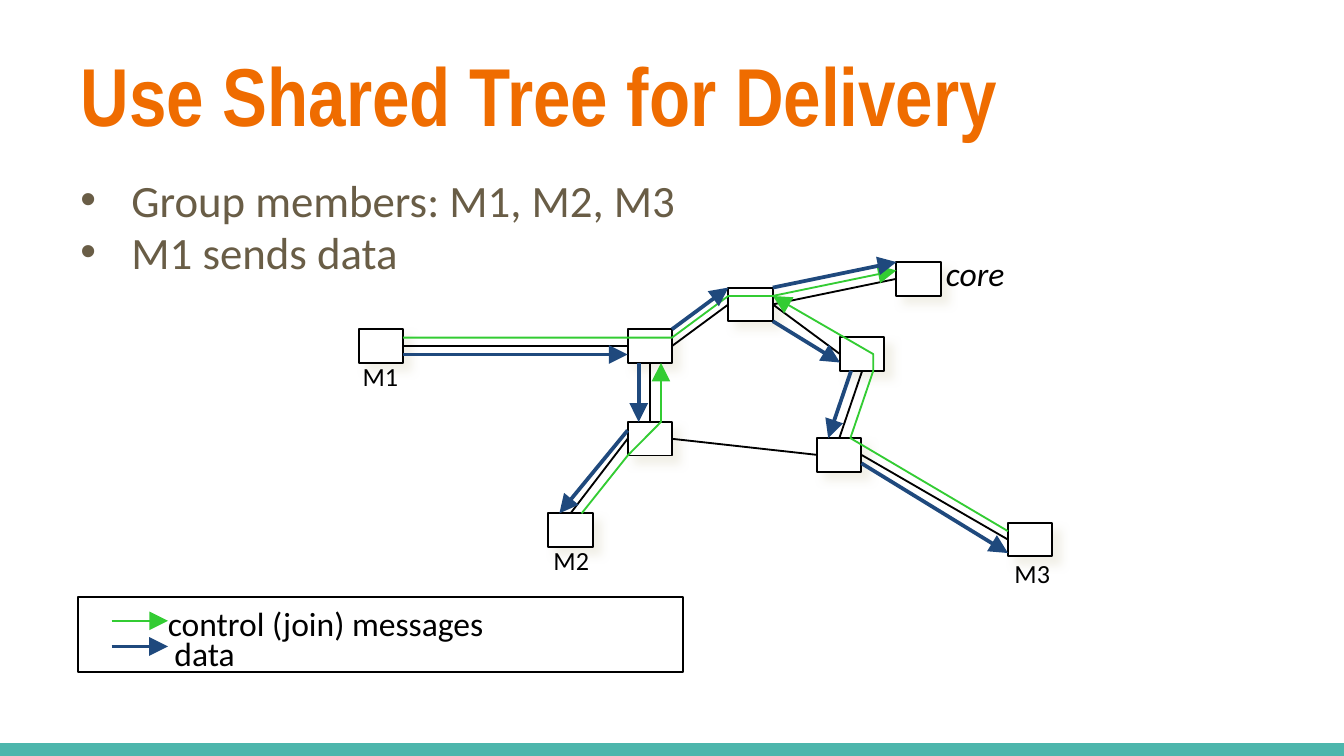
from lxml.etree import SubElement
from pptx import Presentation
from pptx.dml.color import RGBColor
from pptx.enum.shapes import MSO_CONNECTOR as CONNECTOR, MSO_SHAPE as SHAPE
from pptx.enum.text import MSO_ANCHOR as ANCHOR, MSO_AUTO_SIZE as AUTO_SIZE, PP_ALIGN as ALIGN
from pptx.oxml.ns import qn
from pptx.util import Inches, Pt

THEME = {
    "title": {"name": "Arial Narrow", "size": Pt(44), "bold": True, "color": "EF6C00"},
    "body": {"name": "Calibri", "size": Pt(24), "color": "695D46"},
    "member": {"name": "Calibri", "size": Pt(14), "color": "000000"},
    "legend": {"name": "Calibri", "size": Pt(18), "color": "000000"},
    "core": {"name": "Calibri", "size": Pt(18), "italic": True, "color": "000000"},
    "link": ("000000", 1),
    "control": ("33CC33", 1),
    "data": ("1F497D", 2),
    "footer": ("4DB6AC", 10),
    "node": "FFFFFF",
    "shadow": "EEECE1",
}

# Content
TITLE = "Use Shared Tree for Delivery"
BULLETS = ["Group members: M1, M2, M3", "M1 sends data"]
NODE_W, NODE_H = 0.33, 0.25
NODES = {  # left, top
    "west": (4.67, 2.45), "south": (4.67, 3.14), "southeast": (6.08, 3.26),
    "east": (6.25, 2.51), "north": (5.42, 2.14), "M2": (4.08, 3.82),
    "M3": (7.5, 3.89), "M1": (2.67, 2.45), "core": (6.67, 1.95),
}
# Route stops: node, then fractions across and down its box
LINKS = [
    [("north", 1, 0.5), ("core", 0, 0.5)],
    [("north", 1, 0.5), ("east", 0, 0.5)],
    [("north", 0, 0.5), ("west", 1, 0.5)],
    [("west", 0.5, 1), ("south", 0.5, 0)],
    [("south", 1, 0.5), ("southeast", 0, 0.5)],
    [("southeast", 0.5, 0), ("east", 0.5, 1)],
    [("M1", 1, 0.5), ("west", 0, 0.5)],
    [("M2", 0.5, 0), ("south", 0, 0.5)],
    [("M3", 0, 0.5), ("southeast", 1, 0.5)],
]
JOINS = [
    [("M1", 1, 0.25), ("west", 1, 0.25), ("north", 0, 0.25), ("north", 1, 0.25),
     ("core", 0, 0.25)],
    [("M2", 0.75, 0), ("south", 0, 1), ("south", 0.75, 0), ("west", 0.75, 1)],
    [("M3", 0, 0.25), ("southeast", 0.75, 0), ("east", 0.75, 1), ("east", 0.75, 0.5),
     ("north", 1, 0.25)],
]
DATA_FLOWS = [
    [("M1", 1, 0.75), ("west", 0, 0.75)],
    [("west", 0.25, 1), ("south", 0.25, 0)],
    [("south", 0, 0.25), ("M2", 0.25, 0)],
    [("west", 1, 0), ("north", 0, 0)],
    [("north", 1, 1), ("east", 0, 0.75)],
    [("east", 0.25, 1), ("southeast", 0.25, 0)],
    [("southeast", 1, 0.75), ("M3", 0, 0.9)],
    [("north", 1, 0), ("core", 0, 0)],
]
LABELS = [  # text, style, left, top, width, height
    ("M1", "member", 2.6, 2.63, 0.47, 0.33),
    ("M2", "member", 4.02, 4, 0.47, 0.33),
    ("M3", "member", 7.45, 4.1, 0.47, 0.33),
    ("control (join) messages", "legend", 1.15, 4.44, 2.58, 0.4),
    ("data", "legend", 1.2, 4.66, 0.66, 0.4),
    ("core", "core", 6.94, 1.83, 0.7, 0.4),
]
LEGEND_FRAME = (0.58, 4.44, 4.5, 0.56)
LEGEND_KEYS = [("control", 4.62), ("data", 4.81)]


def rgb(value):
    return RGBColor.from_string(value)


def style_font(font, style):
    for key, value in THEME[style].items():
        if key == "color":
            font.color.rgb = rgb(value)
        else:
            setattr(font, key, value)


def style_line(shape, style, arrow=False):
    color, width = THEME[style]
    shape.line.color.rgb = rgb(color)
    shape.line.width = Pt(width)
    if arrow:
        SubElement(shape.line._get_or_add_ln(), qn("a:tailEnd"),
                   type="triangle", w="lg", len="lg")


def stop_point(stop):
    node, across, down = stop
    left, top = NODES[node]
    return left + across * NODE_W, top + down * NODE_H


def add_line(start, end, style, arrow=False):
    line = slide.shapes.add_connector(CONNECTOR.STRAIGHT, *map(Inches, start + end))
    style_line(line, style, arrow)
    SubElement(line._element.spPr, qn("a:effectLst"))


def add_join(route):
    points = [tuple(map(Inches, stop_point(stop))) for stop in route]
    builder = slide.shapes.build_freeform(*points[0], scale=1.0)
    builder.add_line_segments(points[1:], close=False)
    join = builder.convert_to_shape()
    join.fill.background()
    style_line(join, "control", arrow=True)
    join.shadow.inherit = False


def add_box(left, top, width, height):
    box = slide.shapes.add_shape(SHAPE.RECTANGLE, *map(Inches, (left, top, width, height)))
    style_line(box, "link")
    box.shadow.inherit = False
    return box


def add_node(left, top):
    node = add_box(left, top, NODE_W, NODE_H)
    node.fill.solid()
    node.fill.fore_color.rgb = rgb(THEME["node"])
    effects = node._element.spPr.find(qn("a:effectLst"))
    shadow = SubElement(effects, qn("a:outerShdw"), blurRad=str(Pt(5)),
                        dist=str(Pt(5.7)), dir="2700000", algn="ctr", rotWithShape="0")
    color = SubElement(shadow, qn("a:srgbClr"), val=THEME["shadow"])
    SubElement(color, qn("a:alpha"), val="75000")


def add_bullet(paragraph):
    props = paragraph._p.get_or_add_pPr()
    props.set("marL", str(Inches(0.38)))
    props.set("indent", str(-Inches(0.38)))
    color = SubElement(props, qn("a:buClr"))
    SubElement(color, qn("a:srgbClr"), val=THEME["body"]["color"])
    SubElement(props, qn("a:buFont"), typeface="Arial")
    SubElement(props, qn("a:buChar"), char="•")


# Widescreen 16:9 slide
prs = Presentation()
prs.slide_width = Inches(10)
prs.slide_height = prs.slide_width * 9 // 16
slide = prs.slides.add_slide(prs.slide_layouts[5])

# Footer band
add_line((0, 5.6), (10, 5.6), "footer")

# Title
title = slide.shapes.title
title.left, title.top, title.width, title.height = map(Inches, (0.5, 0.23, 9, 0.94))
title.text_frame.text = TITLE
title.text_frame.auto_size = AUTO_SIZE.NONE
title.text_frame.vertical_anchor = ANCHOR.MIDDLE
title.text_frame.paragraphs[0].alignment = ALIGN.LEFT
style_font(title.text_frame.paragraphs[0].runs[0].font, "title")

# Bullets
body = slide.shapes.add_textbox(*map(Inches, (0.5, 1.31, 9, 3.71))).text_frame
body.word_wrap = True
body.text = "\n".join(BULLETS)
for index, bullet in enumerate(body.paragraphs):
    bullet.line_spacing = 0.8
    if index:
        bullet.space_before = Pt(4.8)
    add_bullet(bullet)
    style_font(bullet.runs[0].font, "body")

# Network: nodes, links, join routes, data flows
for corner in NODES.values():
    add_node(*corner)
for start, end in LINKS:
    add_line(stop_point(start), stop_point(end), "link")
for route in JOINS:
    add_join(route)
for start, end in DATA_FLOWS:
    add_line(stop_point(start), stop_point(end), "data", arrow=True)

# Legend
add_box(*LEGEND_FRAME).fill.background()
for style, y in LEGEND_KEYS:
    add_line((0.83, y), (1.25, y), style, arrow=True)

# Labels
for text, style, *place in LABELS:
    label = slide.shapes.add_textbox(*map(Inches, place)).text_frame
    label.word_wrap = False
    label.text = text
    style_font(label.paragraphs[0].runs[0].font, style)

prs.save("out.pptx")
